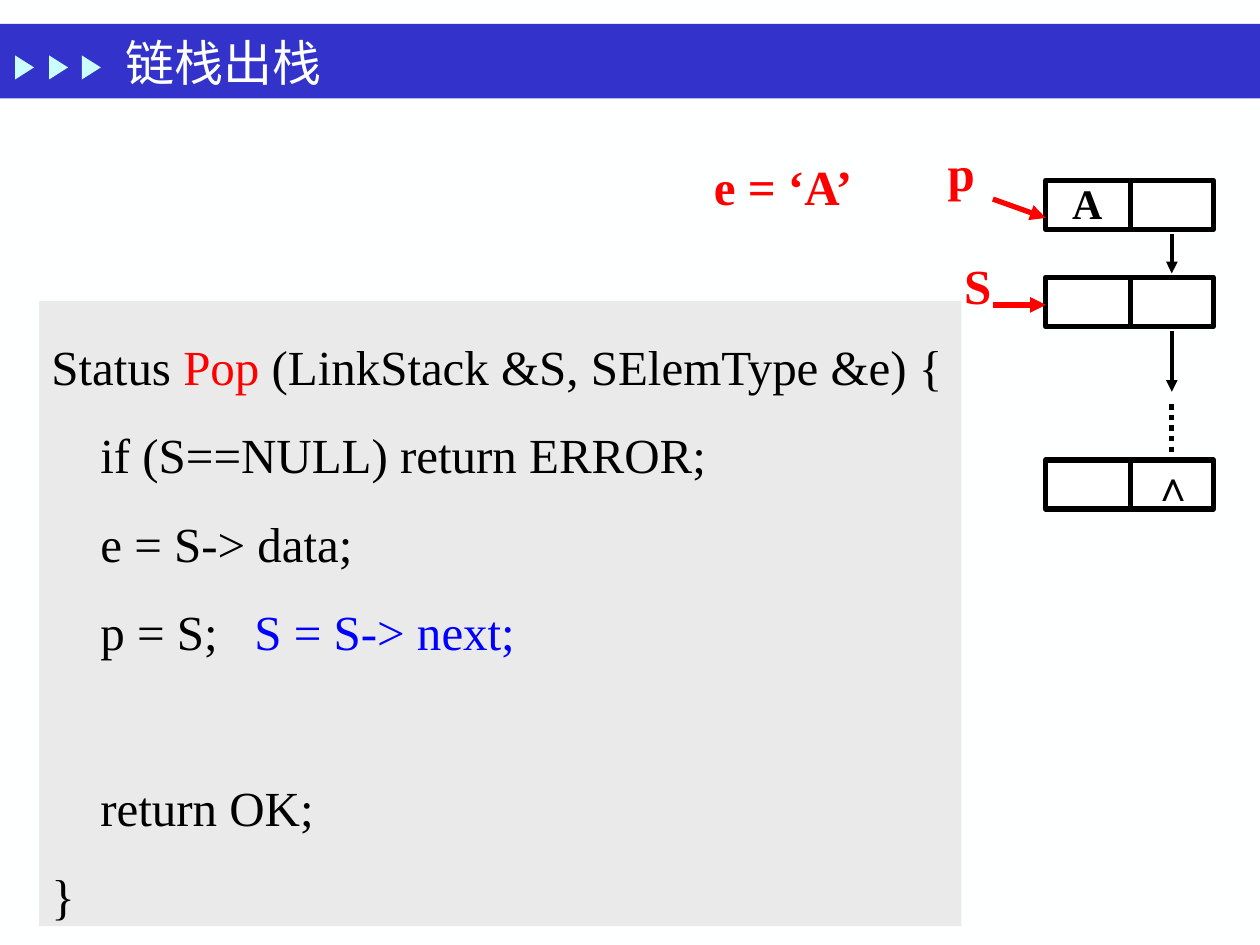
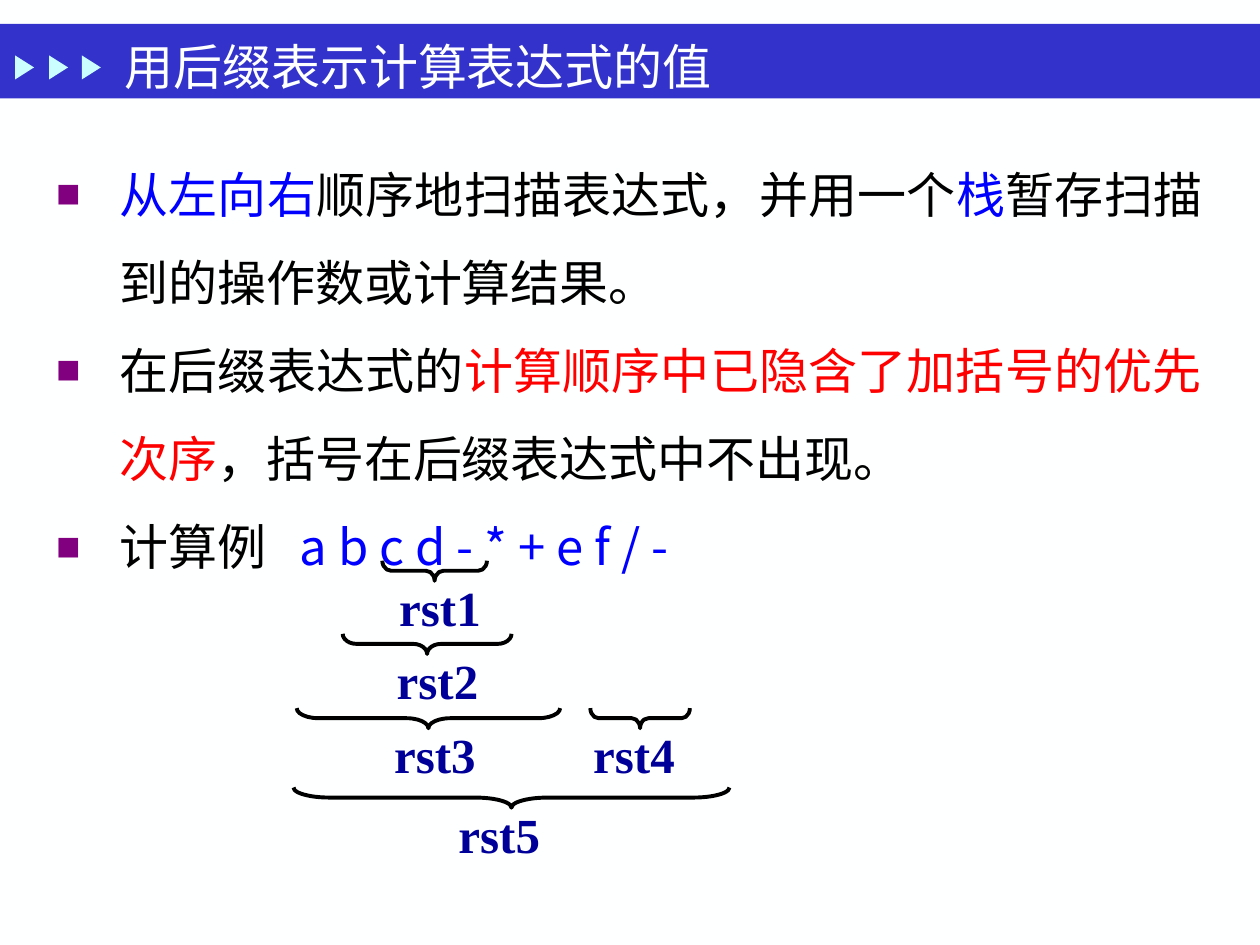
"""Build two slides on linked stacks and postfix evaluation."""
from lxml.etree import SubElement
from pptx import Presentation
from pptx.dml.color import RGBColor as RGB
from pptx.enum.dml import MSO_LINE as Dash
from pptx.enum.shapes import MSO_CONNECTOR as Conn, MSO_SHAPE as Kind
from pptx.enum.text import MSO_ANCHOR as Anchor, PP_ALIGN as Align
from pptx.oxml.ns import qn
from pptx.util import Inches, Pt

PAPER = RGB(0xFE, 0xFF, 0xFF)
WHITE = RGB(0xFF, 0xFF, 0xFF)
BLACK = RGB(0, 0, 0)
BAND = RGB(0x33, 0x33, 0xCC)
MARK = RGB(0xCB, 0xFF, 0xFF)
RED = RGB(0xFF, 0, 0)
BLUE = RGB(0, 0, 0xFF)
NAVY = RGB(0, 0, 0x99)
PURPLE = "800080"
GREY = RGB(0xEA, 0xEA, 0xEA)
SERIF, SANS = "Times New Roman", "Noto Sans CJK SC"
PITCH = 50.4

TITLES = [("链栈出栈", (0.9, 0.21, 3.72, 0.56)),
          ("用后缀表示计算表达式的值", (0.89, 0.19, 5.4, 0.67))]

CODE = [
    [("Status ", BLACK), ("Pop ", RED), ("(LinkStack &S, SElemType &e) {", BLACK)],
    [("    if (S==NULL) return ERROR;", BLACK)],
    [("    e = S-> data;", BLACK)],
    [("    p = S;   ", BLACK), ("S = S-> next;", BLUE)],
    [("    return OK;", BLACK)],
    [("}", BLACK)],
]
GAPS = {4: PITCH}

NODES = [1.43, 2.2, 3.65]
LINKS = [
    ((9.3, 1.86), (9.3, 2.17), BLACK, 2.25),
    ((9.3, 2.63), (9.3, 3.11), BLACK, 2.25),
    ((7.88, 1.58), (8.3, 1.73), RED, 3),
    ((7.88, 2.42), (8.3, 2.42), RED, 3),
]
LABELS = [
    ("∧", (9.05, 3.6, 0.5, 0.5), 24, BLACK),
    ("A", (8.38, 1.35, 0.5, 0.51), 24, BLACK),
    ("e = ‘A’", (5.34, 1.19, 1.75, 0.57), 28, RED),
    ("p", (7.38, 1.08, 0.5, 0.57), 28, RED),
    ("S", (7.51, 1.98, 0.5, 0.57), 28, RED),
]

POINTS = [
    [("从左向右", BLUE), ("顺序地扫描表达式，并用一个", BLACK), ("栈", BLUE),
     ("暂存扫描到的操作数或计算结果。", BLACK)],
    [("在后缀表达式的", BLACK), ("计算顺序中已隐含了加括号的优先次序", RED),
     ("，括号在后缀表达式中不出现。", BLACK)],
    [("计算例", BLACK)],
]
TERMS = [[("a b c d - * + e f / -", BLUE)]]

BRACES = [
    ("rst1", 3.45, 4.53, 0.83, 3.07),
    ("rst2", 3.39, 5.11, 1.34, 3.05),
    ("rst3", 3.4, 5.7, 2.09, 3.03),
    ("rst4", 5.08, 5.7, 0.79, 4.61),
    ("rst5", 4.06, 6.33, 3.46, 3.54),
]


def shape(slide, kind, box, fill=None, line=None, width=3):
    item = slide.shapes.add_shape(kind, *map(Inches, box))
    item.shadow.inherit = False
    if fill is None:
        item.fill.background()
    else:
        item.fill.solid()
        item.fill.fore_color.rgb = fill
    if line is None:
        item.line.fill.background()
    else:
        item.line.color.rgb = line
        item.line.width = Pt(width)
    return item


def link(slide, start, end, color=BLACK, width=3, head=False):
    wire = slide.shapes.add_connector(Conn.STRAIGHT, *map(Inches, start + end))
    wire.line.color.rgb = color
    wire.line.width = Pt(width)
    if head:
        SubElement(wire.line._get_or_add_ln(), qn("a:tailEnd"), type="triangle")
    SubElement(wire._element.spPr, qn("a:effectLst"))
    return wire


def style(para, size, color, face, bold=False):
    font = para.font
    font.size, font.bold, font.name = Pt(size), bold, face
    font.color.rgb = color
    SubElement(para._p.pPr.find(qn("a:defRPr")), qn("a:ea"), typeface=SANS)


def label(slide, text, box, size, color, bold=True, align=Align.LEFT, wrap=True):
    frame = slide.shapes.add_textbox(*map(Inches, box)).text_frame
    frame.word_wrap = wrap
    frame.vertical_anchor = Anchor.MIDDLE
    para = frame.paragraphs[0]
    para.text, para.alignment = text, align
    style(para, size, color, SERIF, bold)


def bullet(para):
    props = para._p.get_or_add_pPr()
    props.set("marL", str(Inches(0.5)))
    props.set("indent", str(Inches(-0.5)))
    SubElement(SubElement(props, qn("a:buClr")), qn("a:srgbClr"), val=PURPLE)
    SubElement(props, qn("a:buSzPct"), val="50000")
    SubElement(props, qn("a:buFont"), typeface=SANS)
    SubElement(props, qn("a:buChar"), char="■")


def write(frame, lines, face, align=Align.LEFT, marked=False, gaps={}):
    frame.word_wrap = True
    frame.vertical_anchor = Anchor.TOP
    for num, parts in enumerate(lines):
        para = frame.add_paragraph() if num else frame.paragraphs[0]
        para.alignment = align
        para.line_spacing = Pt(PITCH)
        if num in gaps:
            para.space_before = Pt(gaps[num])
        if marked:
            bullet(para)
        style(para, 28, parts[0][1], face)
        for text, color in parts:
            run = para.add_run()
            run.text = text
            run.font.color.rgb = color


def start(deck, title, box):
    slide = deck.slides.add_slide(deck.slide_layouts[6])
    slide.background.fill.solid()
    slide.background.fill.fore_color.rgb = PAPER
    shape(slide, Kind.RECTANGLE, (0, 0.19, 10, 0.59), BAND)
    for left in (0.1, 0.37, 0.63):
        shape(slide, Kind.ISOSCELES_TRIANGLE, (left, 0.46, 0.19, 0.15), MARK).rotation = 90
    label(slide, title, box, 28, PAPER, bold=False)
    return slide


def draw_pop(slide):
    for top in NODES:
        shape(slide, Kind.RECTANGLE, (8.3, top, 1.33, 0.39), WHITE, BLACK)
        link(slide, (8.97, top), (8.97, top + 0.39))
    for ends in LINKS:
        link(slide, *ends, head=True)
    link(slide, (9.3, 3.21), (9.3, 3.59)).line.dash_style = Dash.ROUND_DOT
    panel = shape(slide, Kind.RECTANGLE, (0.31, 2.39, 7.32, 4.96), GREY)
    write(panel.text_frame, CODE, SERIF, gaps=GAPS)
    for text, box, size, color in LABELS:
        label(slide, text, box, size, color, align=Align.CENTER)


def draw_postfix(slide):
    top = 1.02
    body = slide.shapes.add_textbox(*map(Inches, (0.35, top, 9.29, 4.1)))
    write(body.text_frame, POINTS, SANS, Align.JUSTIFY, marked=True)
    row = top + 4 * PITCH / 72
    terms = slide.shapes.add_textbox(*map(Inches, (2.28, row, 4, 0.8)))
    write(terms.text_frame, TERMS, SANS)
    deep = 0.16
    for text, mid, y, span, left in BRACES:
        box = (mid - deep / 2, y - span / 2, deep, span)
        brace = shape(slide, Kind.LEFT_BRACE, box, line=BLACK, width=2.25)
        brace.rotation = 270
        brace.adjustments[0] = span / deep / 12
        label(slide, text, (left, y, 0.85, 0.57), 28, NAVY, wrap=False)


def main():
    deck = Presentation()
    deck.slide_width, deck.slide_height = Inches(10), Inches(7.5)
    for (title, box), draw in zip(TITLES, (draw_pop, draw_postfix)):
        draw(start(deck, title, box))
    deck.save("out.pptx")


if __name__ == "__main__":
    main()
